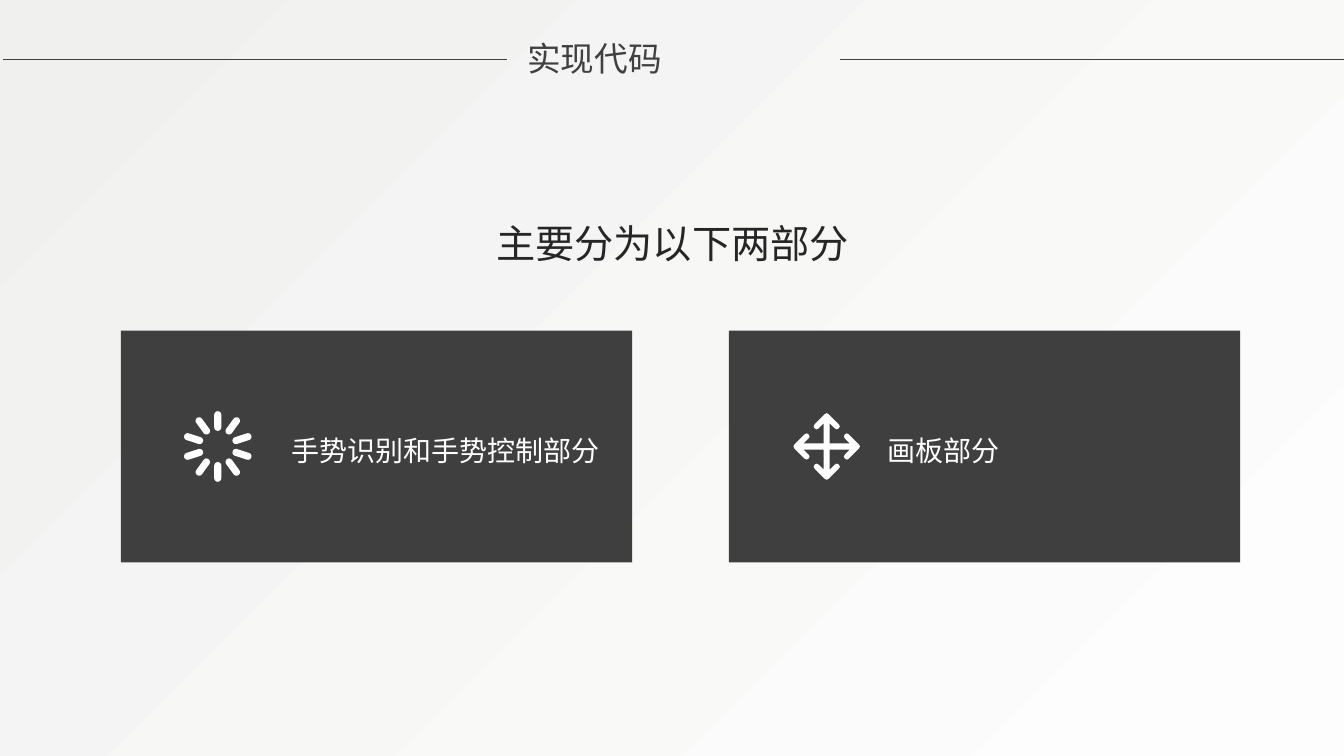
from dataclasses import dataclass
from math import cos, pi, sin

from lxml.etree import SubElement
from pptx import Presentation
from pptx.dml.color import RGBColor
from pptx.enum.shapes import MSO_CONNECTOR, MSO_SHAPE
from pptx.enum.text import MSO_ANCHOR, MSO_AUTO_SIZE, PP_ALIGN
from pptx.oxml.ns import qn
from pptx.util import Inches, Pt


@dataclass(frozen=True)
class Theme:
    font: str = "Noto Sans CJK SC"
    backdrop: tuple = ((0, "F0F0EF"), (0.96, "FDFDFD"))
    panel: str = "3F3F3F"
    on_panel: str = "FFFFFF"
    title: str = "404040"
    heading: str = "262626"
    title_size: int = 24
    heading_size: int = 28
    label_size: int = 20
    rule_width: float = 0.5


def rotate(points, angle):
    return [(x * cos(angle) - y * sin(angle), x * sin(angle) + y * cos(angle))
            for x, y in points]


def spinner_contours():
    """Ten round-ended bars spread evenly about the centre."""
    radius, inner, outer, steps = 0.035, 0.19, 0.315, 8
    bar = []
    for start, y in ((0, -inner), (pi, -outer)):
        for step in range(steps + 1):
            angle = start + pi * step / steps
            bar.append((radius * cos(angle), y + radius * sin(angle)))
    return [rotate(bar, 2 * pi * turn / 10) for turn in range(10)]


def four_way_contours():
    """One arrow arm turned four times into a single outline."""
    left = [(-0.03, -0.03), (-0.03, -0.23), (-0.08, -0.18), (-0.1, -0.17),
            (-0.12, -0.18), (-0.13, -0.2), (-0.12, -0.22), (-0.02, -0.32)]
    right = [(-x, y) for x, y in reversed(left[1:])]
    arm = left + [(0, -0.33)] + right
    return [[point for turn in range(4) for point in rotate(arm, turn * pi / 2)]]


class SlideBuilder:
    def __init__(self, slide, theme):
        self.slide = slide
        self.theme = theme

    def backdrop(self):
        fill = self.slide.background.fill
        fill.gradient()
        fill.gradient_angle = 315
        for stop, (position, color) in zip(fill.gradient_stops, self.theme.backdrop):
            stop.position = position
            stop.color.rgb = RGBColor.from_string(color)

    def set_text(self, holder, text, size, color, align=PP_ALIGN.LEFT, spacing=1.0):
        frame = holder.text_frame
        frame_format = {"word_wrap": True, "vertical_anchor": MSO_ANCHOR.TOP,
                        "auto_size": MSO_AUTO_SIZE.SHAPE_TO_FIT_TEXT}
        for name, value in frame_format.items():
            setattr(frame, name, value)
        paragraph = frame.paragraphs[0]
        paragraph_format = {"alignment": align, "line_spacing": spacing}
        for name, value in paragraph_format.items():
            setattr(paragraph, name, value)
        run = paragraph.add_run()
        run.text = text
        run_format = {"size": Pt(size), "name": self.theme.font, "bold": False}
        for name, value in run_format.items():
            setattr(run.font, name, value)
        run.font.color.rgb = RGBColor.from_string(color)
        SubElement(run._r.get_or_add_rPr(), qn("a:ea"), typeface=self.theme.font)

    def title(self, text, left, top, width, height):
        title = self.slide.shapes.title
        place = {"left": left, "top": top, "width": width, "height": height}
        for name, value in place.items():
            setattr(title, name, Inches(value))
        self.set_text(title, text, self.theme.title_size, self.theme.title,
                      PP_ALIGN.JUSTIFY)

    def text(self, text, left, top, width, height, **style):
        box = self.slide.shapes.add_textbox(*map(Inches, (left, top, width, height)))
        self.set_text(box, text, spacing=1.5, **style)

    def paint(self, shape, color):
        shape.shadow.inherit = False
        shape.fill.solid()
        shape.fill.fore_color.rgb = RGBColor.from_string(color)
        shape.line.fill.background()

    def panel(self, left, top, width, height):
        panel = self.slide.shapes.add_shape(
            MSO_SHAPE.RECTANGLE, *map(Inches, (left, top, width, height)))
        self.paint(panel, self.theme.panel)

    def icon(self, contours, center_x, center_y):
        placed = [[(Inches(center_x + x), Inches(center_y + y)) for x, y in contour]
                  for contour in contours]
        builder = self.slide.shapes.build_freeform(*placed[0][0])
        for contour in placed:
            builder.move_to(*contour[0])
            builder.add_line_segments(contour[1:], close=True)
        self.paint(builder.convert_to_shape(), self.theme.on_panel)

    def rule(self, left, y, length):
        rule = self.slide.shapes.add_connector(
            MSO_CONNECTOR.STRAIGHT, *map(Inches, (left, y, left + length, y)))
        rule.line.color.rgb = RGBColor.from_string(self.theme.panel)
        rule.line.width = Pt(self.theme.rule_width)
        SubElement(rule._element.spPr, qn("a:effectLst"))


def main():
    deck = Presentation()
    deck.slide_width, deck.slide_height = Inches(13.33), Inches(7.5)
    theme = Theme()
    builder = SlideBuilder(deck.slides.add_slide(deck.slide_layouts[5]), theme)
    builder.backdrop()

    # Title between two rules
    builder.title("实现代码", 5.13, 0.33, 3.07, 0.5)
    for rule_left in (0.03, 8.33):
        builder.rule(rule_left, 0.59, 5)

    # Heading
    builder.text("主要分为以下两部分", 2.19, 1.89, 8.96, 0.72, size=theme.heading_size,
                 color=theme.heading, align=PP_ALIGN.CENTER)

    # Two parts: panel, icon, label
    parts = (
        (1.2, spinner_contours(), 2.16, "手势识别和手势控制部分", 2.79),
        (7.23, four_way_contours(), 8.2, "画板部分", 8.7),
    )
    for panel_left, contours, icon_center, label, label_left in parts:
        builder.panel(panel_left, 3.28, 5.07, 2.3)
        builder.icon(contours, icon_center, 4.43)
        builder.text(label, label_left, 4.08, 3.35, 0.55,
                     size=theme.label_size, color=theme.on_panel)

    deck.save("out.pptx")


if __name__ == "__main__":
    main()
